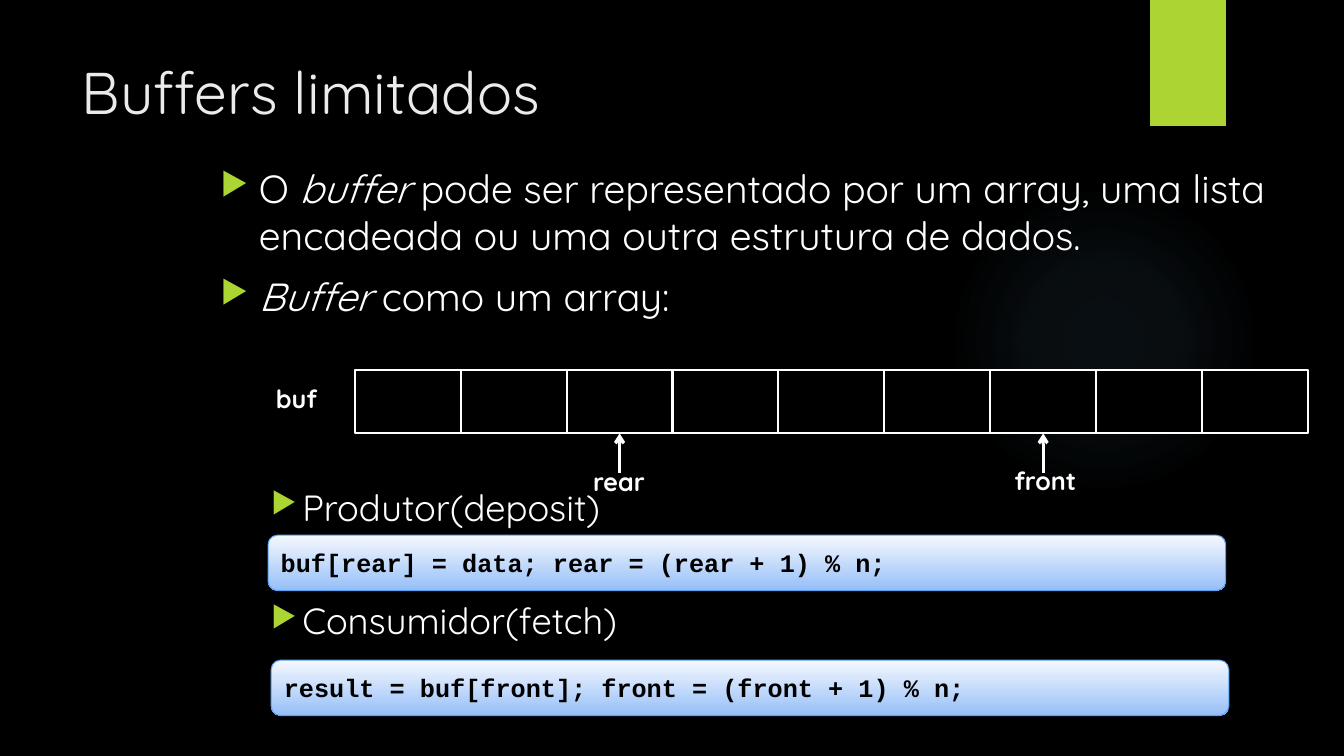
from typing import NamedTuple

from lxml.etree import SubElement
from pptx import Presentation
from pptx.dml.color import RGBColor
from pptx.enum.shapes import MSO_CONNECTOR, MSO_SHAPE
from pptx.enum.text import MSO_ANCHOR, MSO_AUTO_SIZE, PP_ALIGN
from pptx.oxml.ns import qn
from pptx.util import Emu, Inches, Pt

WIDE, HIGH = Inches(13.333), Inches(7.5)
SANS, MONO = "Quicksand", "Courier New"
HUES = {
    "black": "000000", "white": "FFFFFF", "title": "EBEBEB", "lime": "ACD433",
    "glow": "7AC4F0", "pale": "F5F8FE", "sky": "96BFF8", "edge": "5AA0F5",
}
CELLS = 9


class Box(NamedTuple):
    """Left, top, width and height in percent of the slide."""
    x: float
    y: float
    w: float
    h: float


class Run(NamedTuple):
    text: str
    size: float
    hue: str = "white"
    font: str = SANS
    bold: bool = False
    slant: bool = False


class Point(NamedTuple):
    runs: list[Run]
    gap: float
    left: float
    hang: float


class Stop(NamedTuple):
    at: int
    hue: str
    alpha: int = 100


class Label(NamedTuple):
    text: str
    box: Box
    cell: int | None = None


class Code(NamedTuple):
    text: str
    box: Box


ROW = Box(26.4, 48.93, 7.88, 8.4)
GLOW = [Stop(0, "glow", 7), Stop(36, "glow", 6), Stop(69, "glow", 0)]
SHEEN = [Stop(0, "pale"), Stop(100, "sky")]
POINTS = [
    Point([Run("O ", 28), Run("buffer ", 28, slant=True),
           Run("pode ser representado por um array, uma lista encadeada "
               "ou uma outra estrutura de dados.", 28)], 10, 0.38, 0.38),
    Point([Run("Buffer ", 28, slant=True), Run("como um array:", 28)],
          10, 0.38, 0.38),
    Point([Run("Produtor(deposit)", 26)], 118, 0.81, 0.31),
    Point([Run("Consumidor(fetch)", 26)], 50, 0.81, 0.31),
]
LABELS = [
    Label("buf", Box(18.53, 50, 7.05, 5.33)),
    Label("rear", Box(42.53, 61.07, 7.05, 5.33), 2),
    Label("front", Box(73.05, 60.93, 9.45, 5.33), 6),
]
CODES = [
    Code("buf[rear] = data; rear = (rear + 1) % n;",
         Box(19.95, 70.8, 71.25, 7.33)),
    Code("result = buf[front]; front = (front + 1) % n;",
         Box(20.18, 87.33, 71.25, 7.33)),
]


def rgb(hue: str) -> RGBColor:
    return RGBColor.from_string(HUES[hue])


def across(share: float) -> Emu:
    return Emu(round(WIDE * share / 100))


def down(share: float) -> Emu:
    return Emu(round(HIGH * share / 100))


def place(box: Box) -> tuple[Emu, Emu, Emu, Emu]:
    return across(box.x), down(box.y), across(box.w), down(box.h)


def write(para, runs: list[Run]) -> None:
    for item in runs:
        run = para.add_run()
        run.text = item.text
        font = run.font
        font.name, font.size = item.font, Pt(item.size)
        font.bold, font.italic = item.bold, item.slant
        font.color.rgb = rgb(item.hue)


def draw(slide, kind, box: Box, fill: str, line: str = "", width: float = 0):
    shape = slide.shapes.add_shape(kind, *place(box))
    shape.shadow.inherit = False
    shape.fill.solid()
    shape.fill.fore_color.rgb = rgb(fill)
    if line:
        shape.line.color.rgb = rgb(line)
        shape.line.width = Pt(width)
    else:
        shape.line.fill.background()
    return shape


def fade(shape, stops: list[Stop], radial: bool = False) -> None:
    """Turn the solid fill into a gradient."""
    props = shape._element.spPr
    solid = props.find(qn("a:solidFill"))
    grad = SubElement(props, qn("a:gradFill"), rotWithShape="1")
    props.replace(solid, grad)
    group = SubElement(grad, qn("a:gsLst"))
    for stop in stops:
        mark = SubElement(group, qn("a:gs"), pos=str(stop.at * 1000))
        hue = SubElement(mark, qn("a:srgbClr"), val=HUES[stop.hue])
        if stop.alpha < 100:
            SubElement(hue, qn("a:alpha"), val=str(stop.alpha * 1000))
    if radial:
        way = SubElement(grad, qn("a:path"), path="circle")
        SubElement(way, qn("a:fillToRect"),
                   {side: "50000" for side in "ltrb"})
    else:
        SubElement(grad, qn("a:lin"), ang="5400000", scaled="0")


def bullet(para, point: Point) -> None:
    para.space_before = Pt(point.gap)
    props = para._p.get_or_add_pPr()
    props.set("marL", str(Inches(point.left)))
    props.set("indent", str(-Inches(point.hang)))
    hue = SubElement(props, qn("a:buClr"))
    SubElement(hue, qn("a:srgbClr"), val=HUES["lime"])
    SubElement(props, qn("a:buSzPct"), val="80000")
    SubElement(props, qn("a:buChar"), char="▶")


def text(slide, box: Box):
    frame = slide.shapes.add_textbox(*place(box)).text_frame
    frame.word_wrap = True
    return frame


def head(slide) -> None:
    title = slide.shapes.title
    title.left, title.top, title.width, title.height = place(
        Box(5.33, 6.67, 77.18, 20.4))
    frame = title.text_frame
    frame.auto_size = MSO_AUTO_SIZE.NONE
    frame.vertical_anchor = MSO_ANCHOR.TOP
    para = frame.paragraphs[0]
    para.alignment = PP_ALIGN.LEFT
    write(para, [Run("Buffers limitados", 42, "title")])


def body(slide) -> None:
    frame = text(slide, Box(15.68, 21.07, 81.98, 77.2))
    for i, point in enumerate(POINTS):
        para = frame.add_paragraph() if i else frame.paragraphs[0]
        bullet(para, point)
        write(para, point.runs)


def arrow(slide, cell) -> None:
    mid = cell.left + cell.width // 2
    line = slide.shapes.add_connector(
        MSO_CONNECTOR.STRAIGHT, mid, down(62.53), mid, cell.top + cell.height)
    line.end_connect(cell, 2)
    line.line.color.rgb = rgb("white")
    line.line.width = Pt(2.25)
    SubElement(line.line._get_or_add_ln(), qn("a:tailEnd"), type="arrow")
    SubElement(line._element.spPr, qn("a:effectLst"))


def array(slide) -> None:
    cells = [draw(slide, MSO_SHAPE.RECTANGLE,
                  ROW._replace(x=ROW.x + i * ROW.w), "black", "white", 1.5)
             for i in range(CELLS)]
    for label in LABELS:
        if label.cell is not None:
            arrow(slide, cells[label.cell])
        para = text(slide, label.box).paragraphs[0]
        para.alignment = PP_ALIGN.CENTER
        write(para, [Run(label.text, 18, bold=True)])


def panel(slide, code: Code) -> None:
    shape = draw(slide, MSO_SHAPE.ROUNDED_RECTANGLE, code.box,
                 "sky", "edge", 0.75)
    fade(shape, SHEEN)
    frame = shape.text_frame
    frame.vertical_anchor = MSO_ANCHOR.MIDDLE
    para = frame.paragraphs[0]
    para.alignment = PP_ALIGN.LEFT
    write(para, [Run(code.text, 18, "black", MONO, bold=True)])


def main() -> None:
    deck = Presentation()
    deck.slide_width, deck.slide_height = WIDE, HIGH
    slide = deck.slides.add_slide(deck.slide_layouts[5])
    slide.background.fill.solid()
    slide.background.fill.fore_color.rgb = rgb("black")
    glow = draw(slide, MSO_SHAPE.OVAL, Box(70.58, 24.4, 23.1, 41.07), "glow")
    fade(glow, GLOW, radial=True)
    draw(slide, MSO_SHAPE.RECTANGLE, Box(85.58, 0, 5.63, 16.67), "lime")
    head(slide)
    body(slide)
    array(slide)
    for code in CODES:
        panel(slide, code)
    deck.save("out.pptx")


if __name__ == "__main__":
    main()
